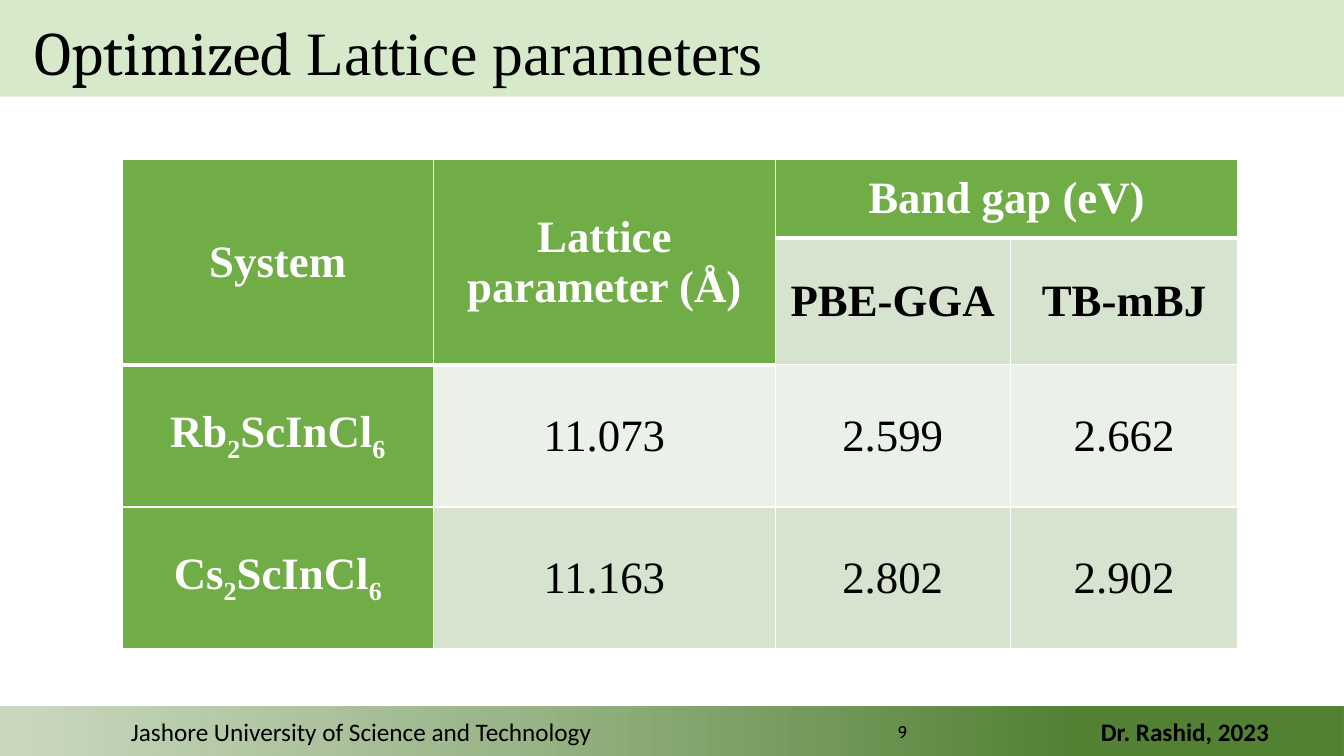
from dataclasses import dataclass

from lxml.etree import SubElement
from pptx import Presentation
from pptx.dml.color import RGBColor
from pptx.enum.shapes import MSO_SHAPE
from pptx.enum.text import MSO_ANCHOR, MSO_AUTO_SIZE, PP_ALIGN
from pptx.oxml.ns import qn
from pptx.util import Pt

PX = 9144  # EMU per px, 100 px to the inch


@dataclass(frozen=True)
class Theme:
    black: str = "000000"
    white: str = "FFFFFF"
    mint: str = "C5E0B4"
    forest: str = "548235"
    head: str = "70AD47"
    band: str = "D5E3CF"
    pale: str = "EBF1E9"
    title: int = 44
    cell: int = 32
    foot: int = 18
    page: int = 12
    serif: str = "Times New Roman"
    sans: str = "Calibri"


@dataclass(frozen=True)
class Run:
    text: str
    font: str
    size: int
    color: str = Theme.black
    bold: bool = False
    sub: bool = False


def tint(parent, color, alpha=100):
    node = SubElement(parent, qn("a:srgbClr"), val=color)
    if alpha < 100:
        SubElement(node, qn("a:alpha"), val=str(alpha * 1000))


class Deck:
    def __init__(self, theme, width, height):
        self.theme = theme
        self.file = Presentation()
        self.file.slide_width = width * PX
        self.file.slide_height = height * PX
        self.slide = self.file.slides.add_slide(self.file.slide_layouts[6])

    def box(self, *area):
        return [side * PX for side in area]

    def bar(self, area, stops):
        """Full-width bar; stops are (place, colour, opacity) in percent."""
        shape = self.slide.shapes.add_shape(MSO_SHAPE.RECTANGLE, *self.box(*area))
        shape.shadow.inherit = False
        shape.line.fill.background()
        fill = shape.fill
        if len(stops) == 1:
            fill.solid()
            solid = shape._element.spPr.find(qn("a:solidFill"))
            tint(solid, *stops[0][1:])
            return
        fill.gradient()
        fill.gradient_angle = 0
        marks = shape._element.spPr.find(qn("a:gradFill")).find(qn("a:gsLst"))
        for old in list(marks):
            marks.remove(old)
        for place, color, alpha in stops:
            tint(SubElement(marks, qn("a:gs"), pos=str(place * 1000)), color, alpha)

    def put(self, frame, runs, align):
        para = frame.paragraphs[0]
        para.alignment = align
        for item in runs:
            run = para.add_run()
            run.text = item.text
            font = run.font
            font.name, font.size, font.bold = item.font, Pt(item.size), item.bold
            font.color.rgb = RGBColor.from_string(item.color)
            if item.sub:
                run._r.get_or_add_rPr().set("baseline", "-25000")

    def text(self, area, runs, align=PP_ALIGN.LEFT, wrap=True, grow=True,
             anchor=MSO_ANCHOR.TOP):
        frame = self.slide.shapes.add_textbox(*self.box(*area)).text_frame
        frame.word_wrap = wrap
        frame.vertical_anchor = anchor
        frame.auto_size = MSO_AUTO_SIZE.SHAPE_TO_FIT_TEXT if grow else MSO_AUTO_SIZE.NONE
        self.put(frame, runs, align)

    def edge(self, cell, sides):
        props = cell._tc.get_or_add_tcPr()
        for place, (side, width) in enumerate(sides.items()):
            line = SubElement(props, qn(f"a:ln{side}"), w=str(Pt(width)))
            tint(SubElement(line, qn("a:solidFill")), self.theme.white)
            props.insert(place, line)

    def table(self, left, top, cols, rows, data, merges, style, thick):
        """style gives (fill, text colour, bold); thick marks heavy lower edges."""
        area = self.box(left, top, sum(cols), sum(rows))
        grid = self.slide.shapes.add_table(len(rows), len(cols), *area).table
        grid.first_row = grid.horz_banding = False
        for col, width in zip(grid.columns, cols):
            col.width = width * PX
        for row, height in zip(grid.rows, rows):
            row.height = height * PX
        for first, last in merges:
            grid.cell(*first).merge(grid.cell(*last))
        for r, line in enumerate(data):
            for c, parts in enumerate(line):
                cell = grid.cell(r, c)
                fill, color, bold = style(r, c)
                cell.fill.solid()
                cell.fill.fore_color.rgb = RGBColor.from_string(fill)
                cell.vertical_anchor = MSO_ANCHOR.MIDDLE
                cell.margin_left = cell.margin_right = 4 * PX
                cell.margin_top = cell.margin_bottom = 4 * PX
                self.edge(cell, {"L": 1, "R": 1, "T": 3 if thick(r - 1, c) else 1,
                                 "B": 3 if thick(r, c) else 1})
                runs = [Run(part, self.theme.serif, self.theme.cell, color, bold,
                            part.isdigit()) for part in parts]
                self.put(cell.text_frame, runs, PP_ALIGN.CENTER)


def main():
    look = Theme()
    deck = Deck(look, 1333, 750)

    # Footer
    deck.bar((0, 701, 1333, 51), [(0, look.forest, 30), (40, look.forest, 60),
                                  (80, look.forest, 100)])
    deck.text((1082, 706, 195, 40),
              [Run("Dr. Rashid, 2023", look.sans, look.foot, bold=True)])
    deck.text((120, 706, 486, 40),
              [Run("Jashore University of Science and Technology", look.sans, look.foot)])

    # Title
    deck.bar((0, 0, 1333, 96), [(0, look.mint, 70)])
    deck.text((24, 9, 753, 84), [Run("Optimized ", "Cambria", look.title),
                                 Run("Lattice parameters", look.serif, look.title)],
              wrap=False)

    # Page number
    deck.text((854, 706, 56, 40), [Run("9", "Cabin", look.page)],
              PP_ALIGN.RIGHT, grow=False, anchor=MSO_ANCHOR.MIDDLE)

    # Results table
    data = [
        [["System"], ["Lattice parameter (Å)"], ["Band gap (eV)"], []],
        [[], [], ["PBE-GGA"], ["TB-mBJ"]],
        [["Rb", "2", "ScInCl", "6"], ["11.073"], ["2.599"], ["2.662"]],
        [["Cs", "2", "ScInCl", "6"], ["11.163"], ["2.802"], ["2.902"]],
    ]

    def thick(r, c):
        return r == 0 or (r == 1 and c < 2)

    def style(r, c):
        if c == 0 or thick(r, c):
            return look.head, look.white, True
        return look.band if r % 2 else look.pale, look.black, r == 1

    merges = [((0, 0), (1, 0)), ((0, 1), (1, 1)), ((0, 2), (0, 3))]
    deck.table(121, 158, [309, 339, 233, 226], [78, 126, 141, 141],
               data, merges, style, thick)

    deck.file.save("out.pptx")


if __name__ == "__main__":
    main()
